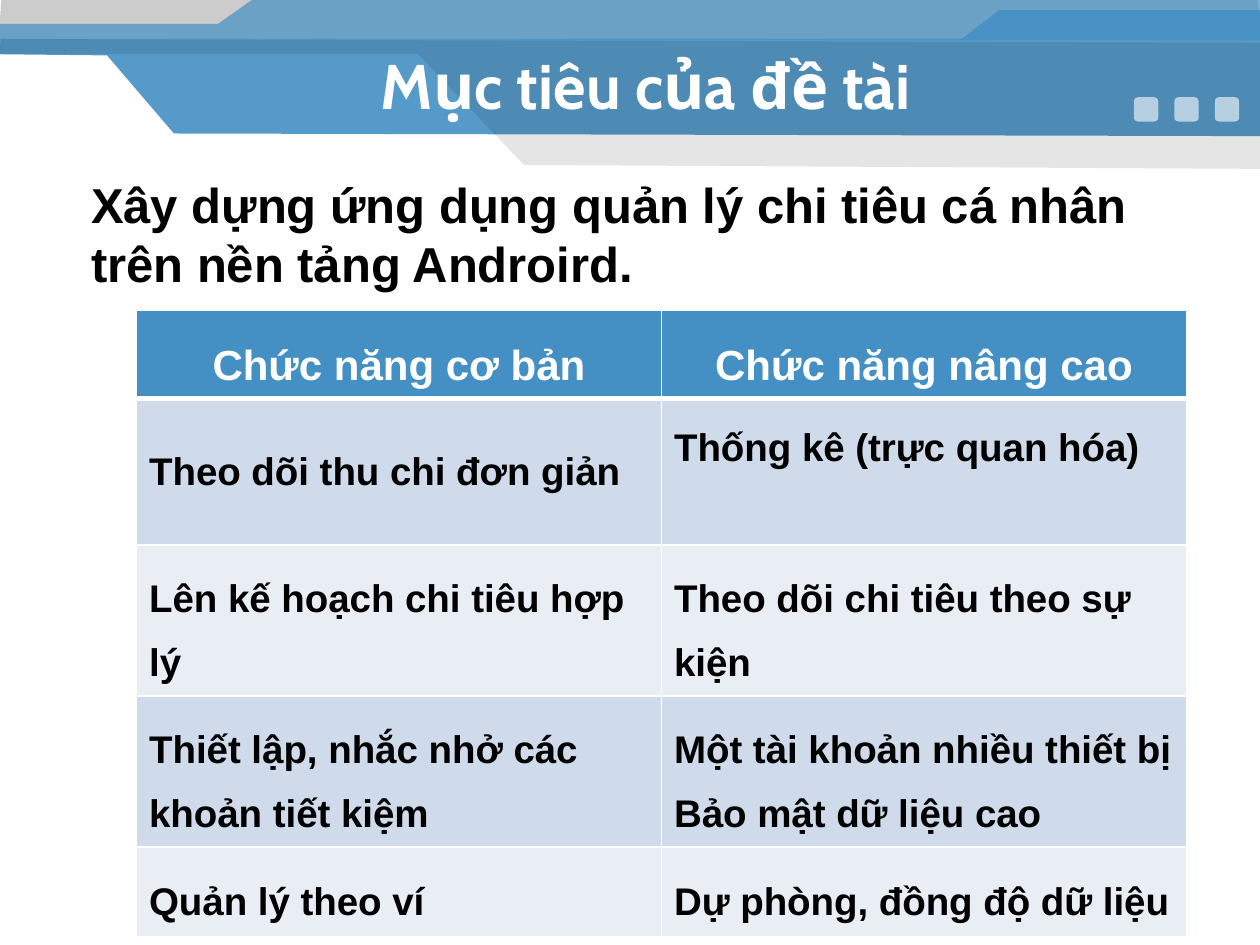
from lxml import etree
from pptx import Presentation
from pptx import util as u
from pptx.dml.color import RGBColor
from pptx.enum import shapes, text
from pptx.oxml import ns

Pt = u.Pt
WHITE = RGBColor(0xFF, 0xFF, 0xFF)
BLACK = RGBColor(0, 0, 0)
BLUE = RGBColor(0x44, 0x90, 0xC4)
BAND_DARK = RGBColor(0xCF, 0xDB, 0xEA)
BAND_LIGHT = RGBColor(0xE9, 0xEE, 0xF5)

# Banner layers from back to front: colour, opacity in percent, corners in points
BANNER = [
    (BLACK, 20, [(-0.7, 22.3), (0.7, 0), (718.6, 0), (720, 23)]),
    (BLUE, 90, [(0, 22.3), (549.4, 22.3), (571, 5.8), (720.7, 5.8), (720.7, 77.8),
                (99.4, 76.3), (61.2, 31.7), (-0.7, 31)]),
    (BLUE, 70, [(0, 13.7), (124.6, 13.7), (144, 0), (720, -0.7), (720, 23), (0, 22.3)]),
    (BLACK, 10, [(-0.7, 31), (239, 31), (299.5, 94.3), (720, 96.5), (720.7, 24.5),
                 (0.7, 22.3)]),
]

HEADERS = ["Chức năng cơ bản", "Chức năng nâng cao"]
FEATURES = [
    ("Theo dõi thu chi đơn giản", "Thống kê (trực quan hóa)"),
    ("Lên kế hoạch chi tiêu hợp lý", "Theo dõi chi tiêu theo sự kiện"),
    ("Thiết lập, nhắc nhở các khoản tiết kiệm",
     "Một tài khoản nhiều thiết bị Bảo mật dữ liệu cao"),
    ("Quản lý theo ví", "Dự phòng, đồng độ dữ liệu"),
]
ROW_HEIGHTS = [49, 83.5, 83.5, 83.5, 51]


class Slide:
    font = "Arial"

    def __init__(self, deck):
        self.page = deck.slides.add_slide(deck.slide_layouts[6])

    def paint(self, shape, color, opacity):
        shape.shadow.inherit = False
        shape.line.fill.background()
        shape.fill.solid()
        shape.fill.fore_color.rgb = color
        srgb = shape.element.spPr.find(".//" + ns.qn("a:srgbClr"))
        etree.SubElement(srgb, ns.qn("a:alpha"), val=str(opacity * 1000))

    def polygon(self, color, opacity, corners):
        points = [(Pt(x), Pt(y)) for x, y in corners]
        builder = self.page.shapes.build_freeform(*points[0], scale=1.0)
        builder.add_line_segments(points[1:], close=True)
        self.paint(builder.convert_to_shape(), color, opacity)

    def rounded_square(self, left, top, side, color, opacity):
        square = self.page.shapes.add_shape(
            shapes.MSO_SHAPE.ROUNDED_RECTANGLE, Pt(left), Pt(top), Pt(side), Pt(side))
        self.paint(square, color, opacity)

    def set_words(self, frame, words, size, color, font=None, align=text.PP_ALIGN.LEFT):
        frame.text = words
        para = frame.paragraphs[0]
        para.alignment = align
        style = para.runs[0].font
        style.name, style.size, style.bold = font or self.font, Pt(size), True
        style.color.rgb = color
        return para

    def text_box(self, left, top, width, height, words, size, color,
                 anchor=text.MSO_ANCHOR.TOP, **style):
        box = self.page.shapes.add_textbox(Pt(left), Pt(top), Pt(width), Pt(height))
        box.text_frame.word_wrap = True
        box.text_frame.vertical_anchor = anchor
        return self.set_words(box.text_frame, words, size, color, **style)

    def cell_borders(self, cell, top, bottom):
        props = cell._tc.get_or_add_tcPr()
        for side, width in (("L", 1), ("R", 1), ("T", top), ("B", bottom)):
            line = etree.SubElement(props, ns.qn("a:ln" + side), w=str(Pt(width)))
            fill = etree.SubElement(line, ns.qn("a:solidFill"))
            etree.SubElement(fill, ns.qn("a:srgbClr"), val=str(WHITE))

    def table(self, left, top, width, heights, rows):
        grid = self.page.shapes.add_table(
            len(rows), len(rows[0]), Pt(left), Pt(top), Pt(width), Pt(sum(heights))).table
        for r, (height, row) in enumerate(zip(heights, rows)):
            grid.rows[r].height = Pt(height)
            for c, words in enumerate(row):
                cell = grid.cell(r, c)
                self.cell_borders(cell, 3 if r == 1 else 1, 3 if r == 0 else 1)
                cell.fill.solid()
                cell.vertical_anchor = text.MSO_ANCHOR.MIDDLE
                if r == 0:
                    cell.fill.fore_color.rgb = BLUE
                    para = self.set_words(cell.text_frame, words, 24, WHITE,
                                          align=text.PP_ALIGN.CENTER)
                else:
                    cell.fill.fore_color.rgb = BAND_DARK if r % 2 else BAND_LIGHT
                    para = self.set_words(cell.text_frame, words, 22, BLACK)
                para.line_spacing = 1.5
        return grid


def main():
    deck = Presentation()
    deck.slide_width, deck.slide_height = Pt(720), Pt(540)
    slide = Slide(deck)
    for layer in BANNER:
        slide.polygon(*layer)
    for i in range(3):
        slide.rounded_square(648 + 23.1 * i, 55.6, 13.9, WHITE, 60)
    slide.text_box(102, 24, 534, 48, "Mục tiêu của đề tài", 36, WHITE,
                   anchor=text.MSO_ANCHOR.MIDDLE, font="Cabin", align=text.PP_ALIGN.CENTER)
    goal = slide.text_box(
        45, 96, 648, 387,
        "Xây dựng ứng dụng quản lý chi tiêu cá nhân trên nền tảng Androird.", 28, BLACK)
    goal.space_before = Pt(5.6)
    features = slide.table(78, 177.4, 600, ROW_HEIGHTS, [HEADERS, *FEATURES])
    features.cell(1, 0).text_frame.paragraphs[0].line_spacing = 1.0
    features.cell(1, 1).vertical_anchor = text.MSO_ANCHOR.TOP
    deck.save("out.pptx")


if __name__ == "__main__":
    main()
